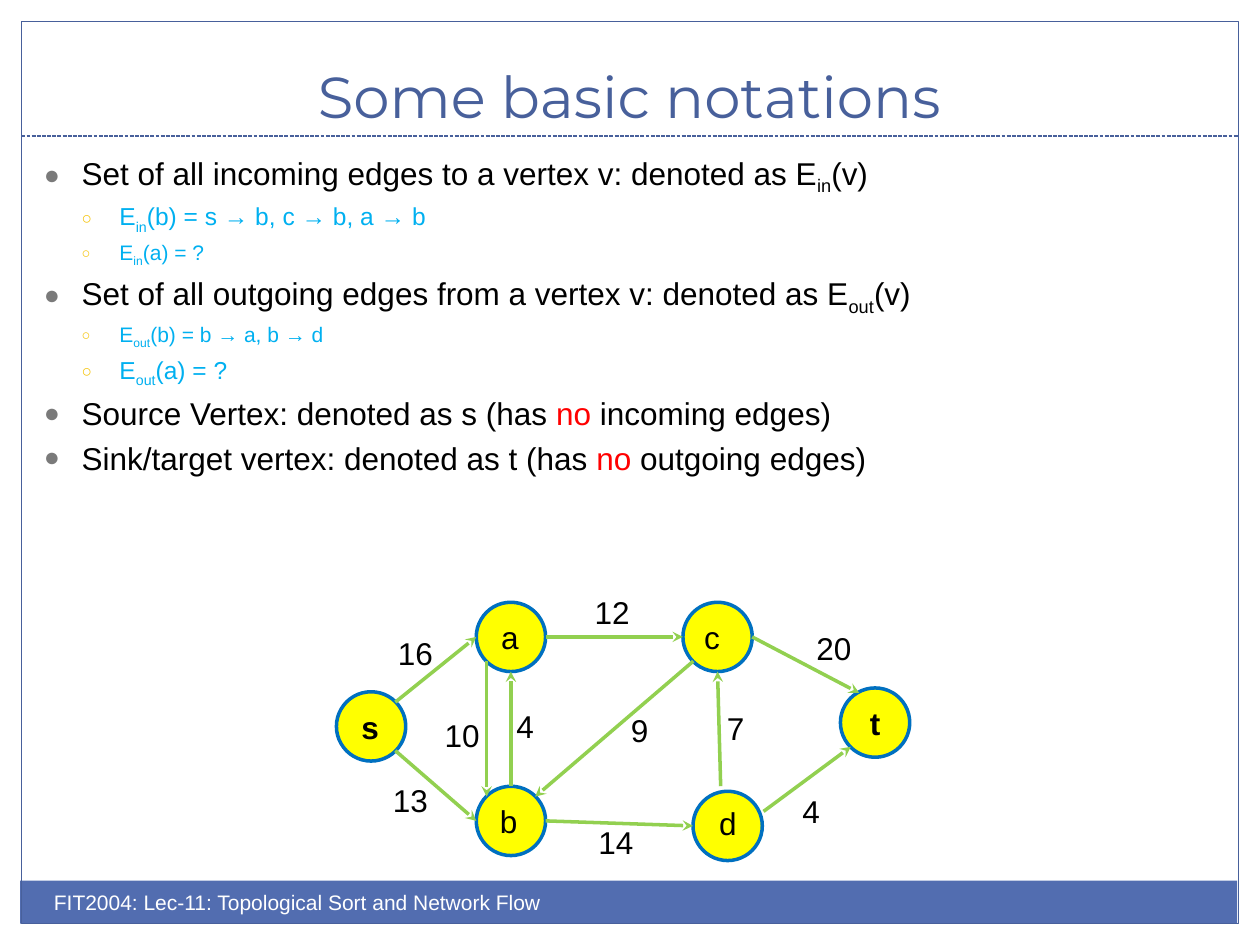
from lxml import etree
from pptx import Presentation
from pptx.dml.color import RGBColor
from pptx.enum.dml import MSO_LINE
from pptx.enum.shapes import MSO_CONNECTOR, MSO_SHAPE
from pptx.enum.text import MSO_ANCHOR, MSO_AUTO_SIZE, PP_ALIGN
from pptx.oxml.ns import qn
from pptx.util import Inches, Pt

STRAIGHT = MSO_CONNECTOR.STRAIGHT
RECTANGLE, OVAL = MSO_SHAPE.RECTANGLE, MSO_SHAPE.OVAL
LEFT, CENTER = PP_ALIGN.LEFT, PP_ALIGN.CENTER
TOP, MIDDLE, BOTTOM = MSO_ANCHOR.TOP, MSO_ANCHOR.MIDDLE, MSO_ANCHOR.BOTTOM
FIT_TEXT, DASHED = MSO_AUTO_SIZE.SHAPE_TO_FIT_TEXT, MSO_LINE.SQUARE_DOT

COLORS = {
    "frame": "48609B", "footer": "526DB0", "white": "FFFFFF", "black": "000000",
    "example": "00B0F0", "emphasis": "FF0000", "bullet": "7A7A7A",
    "sub_bullet": "F5C201", "node": "FFFF00", "node_line": "0070C0", "edge": "92D050",
}

# Content
TITLE = "Some basic notations"
FOOTER = "FIT2004: Lec-11: Topological Sort and Network Flow"

# Level, size, runs; each run is (text, style)
NOTATIONS = [
    (0, 18, [("Set of all incoming edges to a vertex v: denoted as E", ""),
             ("in", "subscript"), ("(v)", "")]),
    (1, 14, [("E", ""), ("in", "subscript"), ("(b) = s → b, c → b, a → b", "")]),
    (1, 12, [("E", ""), ("in", "subscript"), ("(a) = ?", "")]),
    (0, 18, [("Set of all outgoing edges from a vertex v: denoted as E", ""),
             ("out", "subscript"), ("(v)", "")]),
    (1, 12, [("E", ""), ("out", "subscript"), ("(b) = b → a, b → d", "")]),
    (1, 14, [("E", ""), ("out", "subscript"), ("(a) = ?", "")]),
    (0, 18, [("Source Vertex: denoted as s (has ", ""), ("no", "emphasis"),
             (" incoming edges)", "")]),
    (0, 18, [("Sink/target vertex: denoted as t (has ", ""), ("no", "emphasis"),
             (" outgoing edges)", "")]),
]
# Bullet character, colour, size in percent, for each level
BULLETS = [("●", "bullet", 85), ("○", "sub_bullet", 70)]
INDENT = 0.3

# Graph: left and top of each node, then of its letter
NODE_SIZE = 0.55
NODES = {
    "b": (3.78, 6.24), "a": (3.78, 4.78), "d": (5.5, 6.28),
    "c": (5.42, 4.78), "s": (2.67, 5.49), "t": (6.67, 5.46),
}
LETTERS = {
    "b": (3.87, 6.32), "a": (3.88, 4.86), "d": (5.61, 6.33),
    "c": (5.49, 4.86), "s": (2.77, 5.57),
}
BOLD_NODES = "st"
# Position on a node, as fractions of its size
SITES = {
    "top": (0.5, 0), "left": (0, 0.5), "bottom": (0.5, 1), "right": (1, 0.5),
    "top left": (0.15, 0.15), "top right": (0.85, 0.15),
    "bottom left": (0.15, 0.85), "bottom right": (0.85, 0.85),
}
# Ends are (node, site) or a free point; then the weight and its left and top
EDGES = [
    (("s", "top right"), ("a", "left"), "16", (3.06, 4.98)),
    (("s", "bottom right"), ("b", "left"), "13", (3.02, 6.15)),
    (("a", "bottom left"), ("b", "top left"), "10", (3.43, 5.63)),
    (("a", "right"), ("c", "left"), "12", (4.62, 4.66)),
    (("c", "right"), (6.82, 5.5), "20", (6.38, 4.94)),
    ((5.72, 6.24), ("c", "bottom"), "7", (5.67, 5.58)),
    (("c", "bottom left"), ("b", "top right"), "9", (4.91, 5.59)),
    (("b", "top"), ("a", "bottom"), "4", (4, 5.56)),
    (("b", "right"), ("d", "left"), "14", (4.65, 6.48)),
    ((6.06, 6.44), ("t", "bottom left"), "4", (6.27, 6.24)),
]


def color(name):
    return RGBColor.from_string(COLORS[name])


def write(shape, text, size=18, font="Arial", fill="black", bold=False,
          align=LEFT, anchor=TOP, wrap=True):
    frame = shape.text_frame
    frame.word_wrap = wrap
    frame.vertical_anchor = anchor
    paragraph = frame.paragraphs[0]
    paragraph.alignment = align
    add_run(paragraph, text, size, font, fill, bold)


def add_run(paragraph, text, size, font="Arial", fill="black", bold=False):
    run = paragraph.add_run()
    run.text = text
    run.font.size, run.font.name, run.font.bold = Pt(size), font, bold
    run.font.color.rgb = color(fill)
    return run


def add_textbox(slide, *box):
    return slide.shapes.add_textbox(*map(Inches, box))


def add_shape(slide, kind, box, fill=None, line=None, width=0.75):
    shape = slide.shapes.add_shape(kind, *map(Inches, box))
    shape.shadow.inherit = False
    if fill:
        shape.fill.solid()
        shape.fill.fore_color.rgb = color(fill)
    else:
        shape.fill.background()
    if line:
        shape.line.color.rgb = color(line)
        shape.line.width = Pt(width)
    else:
        shape.line.fill.background()
    return shape


def add_line(slide, start, end, line, width):
    connector = slide.shapes.add_connector(STRAIGHT, *map(Inches, (*start, *end)))
    connector.line.color.rgb = color(line)
    connector.line.width = Pt(width)
    etree.SubElement(connector._element.spPr, qn("a:effectLst"))
    return connector


def format_bullet(paragraph, level, first):
    character, fill, percent = BULLETS[level]
    properties = paragraph._p.get_or_add_pPr()
    properties.set("marL", str(Inches(INDENT * (level + 1))))
    properties.set("indent", str(-Inches(INDENT)))
    if not first:
        spacing = etree.SubElement(properties, qn("a:spcBef"))
        etree.SubElement(spacing, qn("a:spcPct"), val="20000")
    bullet_color = etree.SubElement(properties, qn("a:buClr"))
    etree.SubElement(bullet_color, qn("a:srgbClr"), val=COLORS[fill])
    etree.SubElement(properties, qn("a:buSzPct"), val=str(percent * 1000))
    etree.SubElement(properties, qn("a:buFont"), typeface="Arial")
    etree.SubElement(properties, qn("a:buChar"), char=character)
    paragraph.level = level


def add_notations(slide):
    frame = add_textbox(slide, 0.25, 1.17, 9.5, 3).text_frame
    frame.word_wrap = True
    for index, (level, size, runs) in enumerate(NOTATIONS):
        paragraph = frame.add_paragraph() if index else frame.paragraphs[0]
        format_bullet(paragraph, level, first=index == 0)
        for text, style in runs:
            fill = "emphasis" if style == "emphasis" else ("black", "example")[level]
            run = add_run(paragraph, text, size, fill=fill)
            if style == "subscript":
                run._r.get_or_add_rPr().set("baseline", "-25000")


def edge_point(end):
    if end[0] not in NODES:
        return end
    node, site = end
    return [corner + part * NODE_SIZE for corner, part in zip(NODES[node], SITES[site])]


def add_label(slide, text, position, bold=False):
    label = add_textbox(slide, *position, 0.2 + 0.14 * len(text), 0.4)
    write(label, text, bold=bold, wrap=False)
    label.text_frame.auto_size = FIT_TEXT


def add_graph(slide):
    for name, position in NODES.items():
        node = add_shape(slide, OVAL, (*position, NODE_SIZE, NODE_SIZE),
                         "node", "node_line", 2)
        bold = name in BOLD_NODES
        if name in LETTERS:
            add_label(slide, name, LETTERS[name], bold)
        else:
            write(node, name, bold=bold, align=CENTER, anchor=MIDDLE)
    for start, end, weight, position in EDGES:
        edge = add_line(slide, edge_point(start), edge_point(end), "edge", 2)
        etree.SubElement(edge.line._get_or_add_ln(), qn("a:tailEnd"), type="stealth")
        add_label(slide, weight, position)


def main():
    presentation = Presentation()
    presentation.slide_width, presentation.slide_height = Inches(10), Inches(7.5)
    slide = presentation.slides.add_slide(presentation.slide_layouts[6])

    # Frame, title and footer
    add_shape(slide, RECTANGLE, (0.16, 6.99, 9.66, 0.34), "footer")
    add_shape(slide, RECTANGLE, (0.17, 0.17, 9.66, 7.16), line="frame")
    divider = add_line(slide, (0.17, 1.08), (9.83, 1.08), "frame", 0.75)
    divider.line.dash_style = DASHED
    write(add_textbox(slide, 0.33, 0.25, 9.33, 0.83), TITLE, size=33,
          font="Montserrat", fill="frame", align=CENTER, anchor=BOTTOM)
    write(add_textbox(slide, 0.33, 7.01, 5, 0.4), FOOTER, size=12, fill="white")

    # Definitions and example network
    add_notations(slide)
    add_graph(slide)
    presentation.save("out.pptx")


if __name__ == "__main__":
    main()
